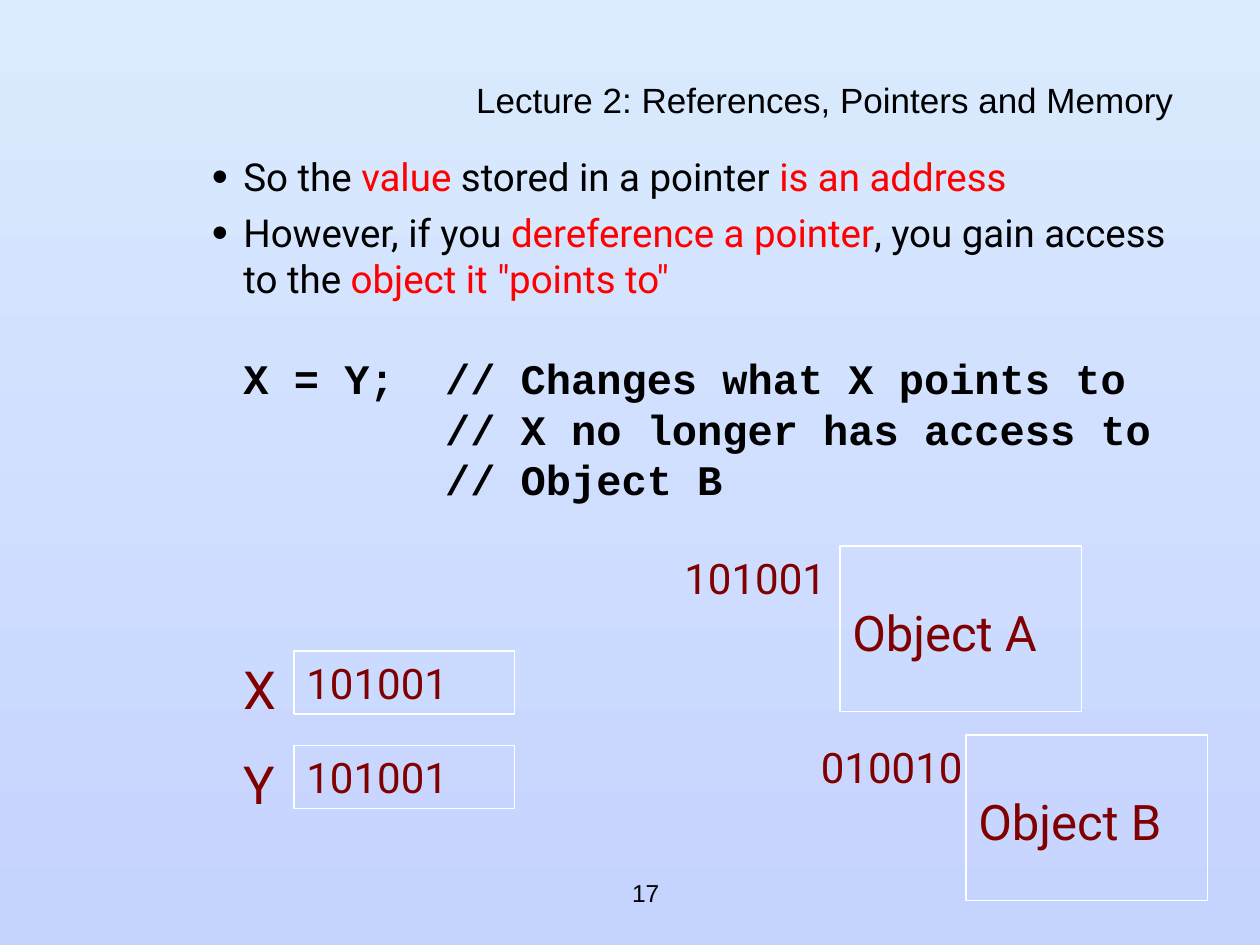
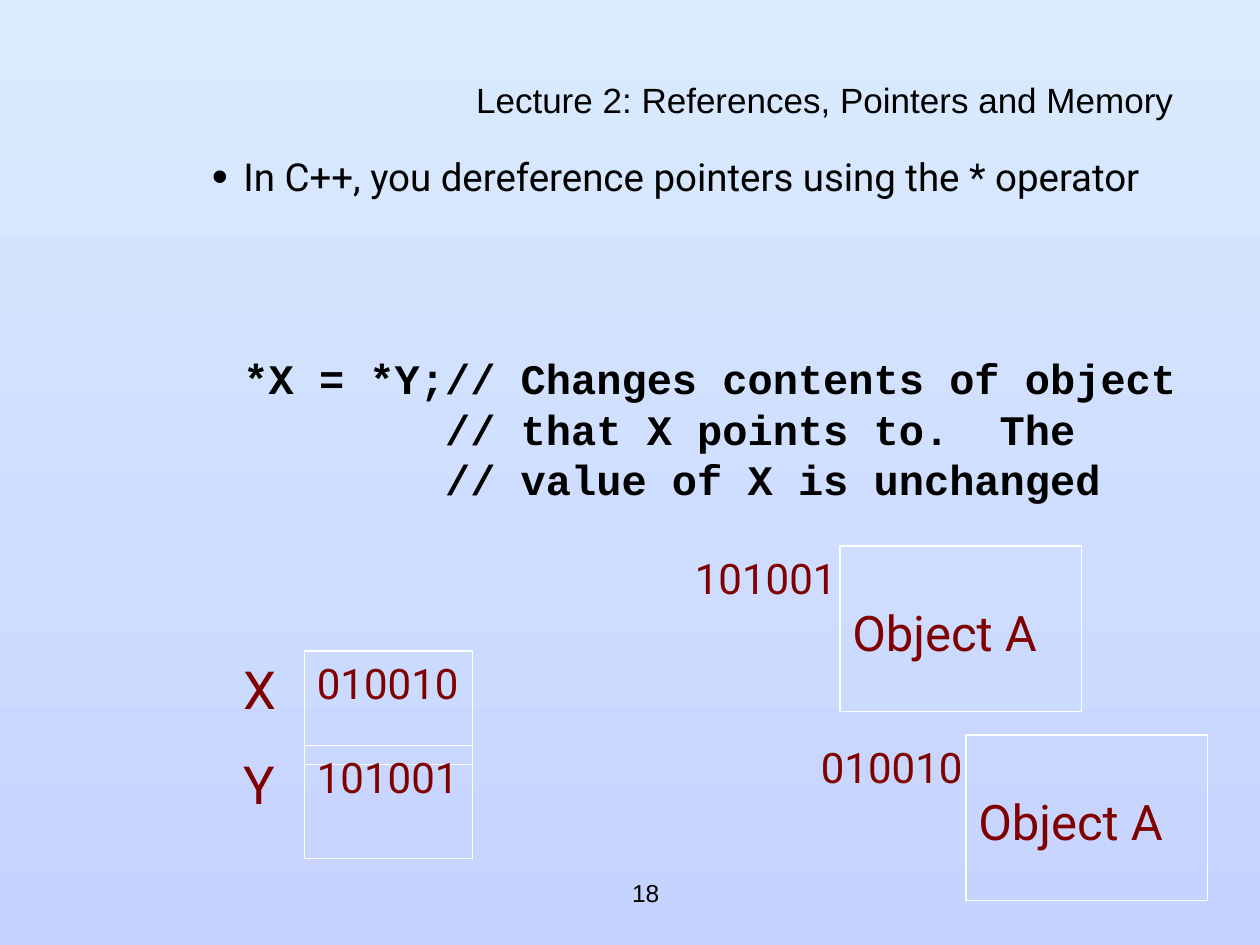
from lxml.etree import SubElement
from pptx import Presentation
from pptx.dml.color import RGBColor
from pptx.enum.shapes import MSO_SHAPE
from pptx.enum.text import MSO_ANCHOR, PP_ALIGN
from pptx.oxml.ns import qn
from pptx.util import Inches, Pt

BLACK, RED, MAROON, WHITE = "000000", "FF0000", "800000", "FFFFFF"
SKY, PERIWINKLE = "DAEBFE", "C5D3FF"
SANS, BODY, CODE = "Arial", "Roboto", "Courier New"
TITLE = "Lecture 2: References, Pointers and Memory"
TITLE_ONLY = 5
COLUMNS, ROWS = 120, 90
X_ROW, Y_ROW = 62, 71
OBJECT_SIZE = 23, 15.8


def color(hex_string):
    return RGBColor.from_string(hex_string)


class Deck:
    """Holds the style and the current slide; places are (column, row, columns, rows)."""

    def __init__(self):
        self.prs = Presentation()
        self.prs.slide_width, self.prs.slide_height = Inches(10), Inches(7.5)
        self.slide = None
        fill = self.prs.slide_master.background.fill
        fill.gradient()
        fill.gradient_angle = 270
        for stop, shade in zip(fill.gradient_stops, (SKY, PERIWINKLE)):
            stop.color.rgb = color(shade)

    def place(self, col, row, cols, rows):
        dx = self.prs.slide_width / COLUMNS
        dy = self.prs.slide_height / ROWS
        return round(col * dx), round(row * dy), round(cols * dx), round(rows * dy)

    def run(self, p, text, size, font=BODY, shade=MAROON, bold=False):
        r = p.add_run()
        r.text = text
        r.font.size, r.font.name, r.font.bold = Pt(size), font, bold
        r.font.color.rgb = color(shade)

    def text_frame(self, *place):
        tf = self.slide.shapes.add_textbox(*self.place(*place)).text_frame
        tf.word_wrap = True
        return tf

    def start(self, number):
        self.slide = self.prs.slides.add_slide(self.prs.slide_layouts[TITLE_ONLY])
        self.title()
        self.page_number(number)

    def title(self):
        sp = self.slide.shapes.title
        sp.left, sp.top, sp.width, sp.height = self.place(7, 8, 106, 4)
        tf = sp.text_frame
        tf.vertical_anchor = MSO_ANCHOR.MIDDLE
        p = tf.paragraphs[0]
        p.alignment, p.line_spacing = PP_ALIGN.RIGHT, 0.7
        self.run(p, TITLE, 20, SANS, BLACK)

    def page_number(self, number):
        tf = self.text_frame(49, 82, 25, 6)
        tf.word_wrap = False
        tf.vertical_anchor = MSO_ANCHOR.MIDDLE
        p = tf.paragraphs[0]
        p.alignment = PP_ALIGN.CENTER
        self.run(p, str(number), 14, SANS, BLACK)

    def bullets(self, items):
        """Each item alternates plain and highlighted pieces of text."""
        tf = self.text_frame(7, 14, 106, 66)
        for i, pieces in enumerate(items):
            p = tf.add_paragraph() if i else tf.paragraphs[0]
            pPr = p._p.get_or_add_pPr()
            pPr.set("marL", str(Inches(1.25)))
            pPr.set("indent", str(Inches(-0.25)))
            bullet_color = SubElement(pPr, qn("a:buClr"))
            SubElement(bullet_color, qn("a:srgbClr"), val=BLACK)
            SubElement(pPr, qn("a:buSzPct"), val="120000")
            SubElement(pPr, qn("a:buFont"), typeface=SANS)
            SubElement(pPr, qn("a:buChar"), char="•")
            if i:
                p.space_before = Pt(5.5)
            for j, piece in enumerate(pieces):
                self.run(p, piece, 22, shade=RED if j % 2 else BLACK)

    def code(self, lines):
        tf = self.text_frame(22, 33, 92, 15.6)
        for i, line in enumerate(lines):
            p = tf.add_paragraph() if i else tf.paragraphs[0]
            self.run(p, line, 24, CODE, BLACK, bold=True)

    def label(self, text, size, *place):
        self.run(self.text_frame(*place).paragraphs[0], text, size)

    def box(self, text, size, *place, anchor=MSO_ANCHOR.TOP):
        sp = self.slide.shapes.add_shape(MSO_SHAPE.RECTANGLE, *self.place(*place))
        sp.shadow.inherit = False
        sp.fill.background()
        sp.line.color.rgb = color(WHITE)
        sp.line.width = Pt(0.75)
        tf = sp.text_frame
        tf.word_wrap = True
        tf.vertical_anchor = anchor
        p = tf.paragraphs[0]
        p.alignment = PP_ALIGN.LEFT
        self.run(p, text, size)
        return tf

    def pointer(self, name, address, row, col, cols, rows):
        self.label(name, 30, 22, row, 7, 7.2)
        self.box(address, 24, col, row, cols, rows)

    def memory_object(self, name, address, col, row, address_col):
        tf = self.box(name, 28, col, row, *OBJECT_SIZE, anchor=MSO_ANCHOR.MIDDLE)
        tf.margin_top = Inches(0.09)
        self.label(address, 24, address_col, row, 16, 6)


def pointer_slide(deck, number, bullets, code, x, y, pointer_box, a_address_col, b_name):
    deck.start(number)
    deck.bullets(bullets)
    deck.code(code)
    deck.pointer("X", x, X_ROW, *pointer_box)
    deck.memory_object("Object A", "101001", 80, 52, a_address_col)
    deck.memory_object(b_name, "010010", 92, 70, 77)
    deck.pointer("Y", y, Y_ROW, *pointer_box)


def main():
    deck = Deck()
    pointer_slide(
        deck, 17,
        bullets=[
            ["So the ", "value", " stored in a pointer ", "is an address"],
            ["However, if you ", "dereference a pointer",
             ", you gain access to the ", 'object it "points to"'],
        ],
        code=["X = Y;  // Changes what X points to",
              "        // X no longer has access to",
              "        // Object B"],
        x="101001", y="101001", pointer_box=(28, 21, 6),
        a_address_col=64, b_name="Object B")
    pointer_slide(
        deck, 18,
        bullets=[["In C++, you dereference pointers using the * operator"]],
        code=["*X = *Y;// Changes contents of object",
              "        // that X points to.  The",
              "        // value of X is unchanged"],
        x="010010", y="101001", pointer_box=(29, 16, 10.8),
        a_address_col=65, b_name="Object A")
    deck.prs.save("out.pptx")


if __name__ == "__main__":
    main()
